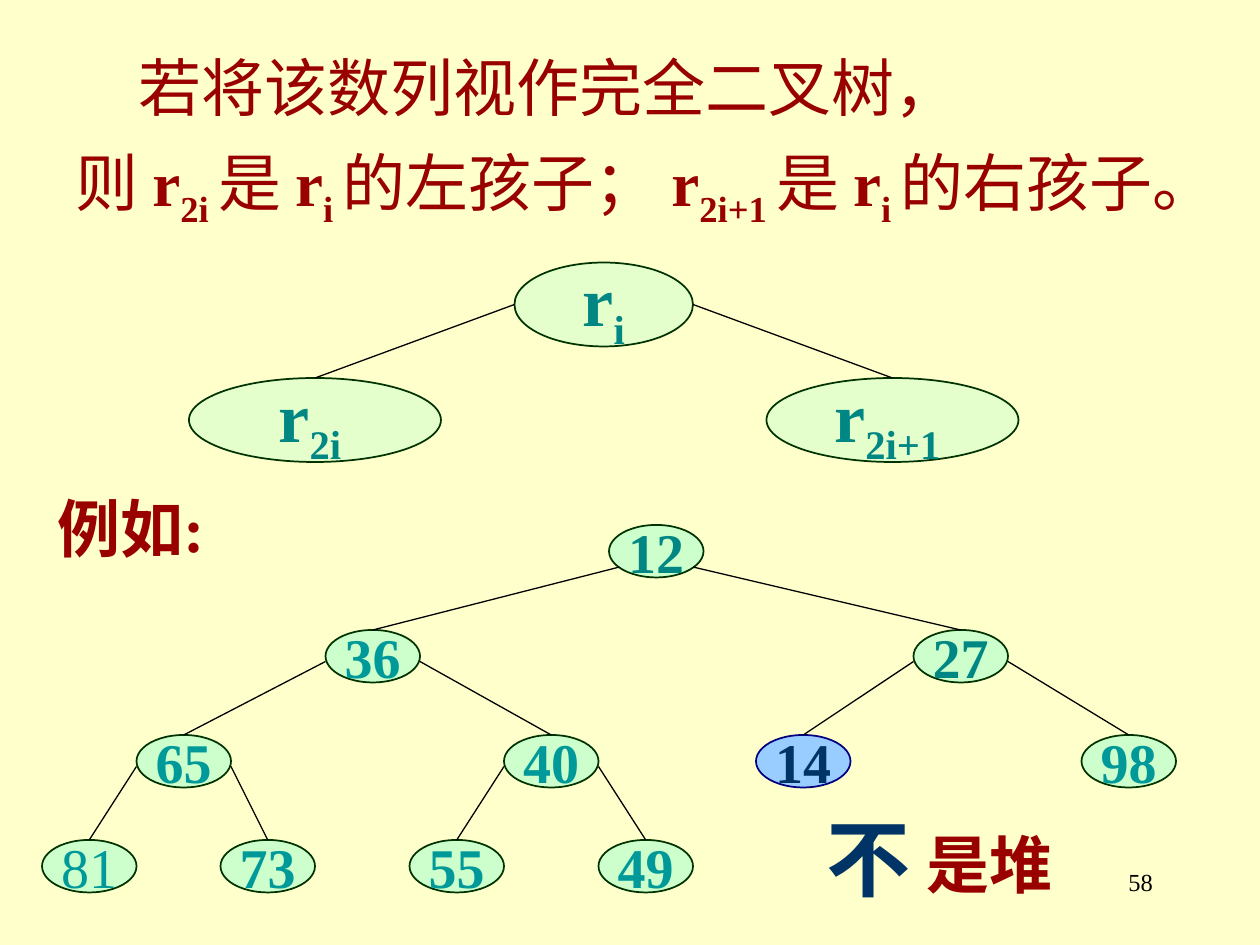
import dataclasses
import lxml.etree
import pptx
import pptx.dml.color
import pptx.enum.shapes
import pptx.enum.text
import pptx.oxml.ns
import pptx.util

COLUMNS, ROWS = 120, 90
CELL = pptx.util.Inches(10) // COLUMNS
ALIGN = pptx.enum.text.PP_ALIGN
ANCHOR = pptx.enum.text.MSO_ANCHOR
FIT = pptx.enum.text.MSO_AUTO_SIZE
qn = pptx.oxml.ns.qn


@dataclasses.dataclass(frozen=True)
class Theme:
    font: str = "Times New Roman"
    background: str = "FFFFCC"
    text: str = "990000"
    ink: str = "000000"
    teal: str = "008784"
    light_teal: str = "009999"
    navy: str = "003366"
    green_fill: str = "CCFFCC"
    green_line: str = "003300"
    blue_fill: str = "99CCFF"
    blue_line: str = "000080"
    page_size: int = 14
    node_size: int = 32
    body_size: int = 36
    formula_size: int = 40
    stress_size: int = 48
    edge_width: float = 0.75
    outline_width: float = 1


def color(value):
    return pptx.dml.color.RGBColor.from_string(value)


def cells(*values):
    return [round(value * CELL) for value in values]


def put_text(frame, paragraphs, *, font, size, ink, bold=False,
             align=ALIGN.LEFT, before=0, indents=()):
    for index, pieces in enumerate(paragraphs):
        para = frame.paragraphs[0] if index == 0 else frame.add_paragraph()
        para.alignment = align
        para.space_before = pptx.util.Pt(before)
        if index < len(indents):
            para._p.get_or_add_pPr().set("indent", str(indents[index] * CELL))
        for piece in pieces:
            words, style = (piece, "") if isinstance(piece, str) else piece
            span = para.add_run()
            span.text = words
            span.font.name = font
            span.font.size = pptx.util.Pt(size)
            span.font.bold = bold or style in ("bold", "sub")
            span.font.color.rgb = color(ink)
            if style == "sub":
                span.font._element.set("baseline", "-25000")


class Page:
    def __init__(self, deck, theme):
        self.theme = theme
        self.slide = deck.slides.add_slide(deck.slide_layouts[6])
        self.slide.background.fill.solid()
        self.slide.background.fill.fore_color.rgb = color(theme.background)

    def text(self, area, paragraphs, *, wrap=False, grow=True, size=None, ink=None, **style):
        frame = self.slide.shapes.add_textbox(*cells(*area)).text_frame
        frame.word_wrap = wrap
        frame.auto_size = FIT.SHAPE_TO_FIT_TEXT if grow else FIT.NONE
        put_text(frame, paragraphs, font=self.theme.font, size=size or self.theme.body_size,
                 ink=ink or self.theme.text, **style)

    def ellipse(self, area, pieces, *, size, ink, bold=True, fill=None, line=None, alpha=None):
        node = self.slide.shapes.add_shape(
            pptx.enum.shapes.MSO_SHAPE.OVAL, *cells(*area))
        node.shadow.inherit = False
        node.fill.solid()
        node.fill.fore_color.rgb = color(fill or self.theme.green_fill)
        if alpha:
            tint = node._element.spPr.find(qn("a:solidFill"))[0]
            lxml.etree.SubElement(tint, qn("a:alpha")).set("val", str(alpha * 1000))
        node.line.color.rgb = color(line or self.theme.green_line)
        node.line.width = pptx.util.Pt(self.theme.outline_width)
        node.text_frame.word_wrap = False
        node.text_frame.vertical_anchor = ANCHOR.MIDDLE
        put_text(node.text_frame, [pieces], font=self.theme.font, size=size,
                 ink=ink, bold=bold, align=ALIGN.CENTER)

    def edge(self, start, end):
        line = self.slide.shapes.add_connector(
            pptx.enum.shapes.MSO_CONNECTOR.STRAIGHT, *cells(*start, *end))
        line.line.color.rgb = color(self.theme.ink)
        line.line.width = pptx.util.Pt(self.theme.edge_width)
        lxml.etree.SubElement(line._element.spPr, qn("a:effectLst"))


def draw_formula_tree(page):
    theme = page.theme
    left, top, width, height = 49, 25, 17, 8
    child_top, child_width = 36, 24
    formulas = [((left, top, width, height), "i"),
                ((18, child_top, child_width, height), "2i "),
                ((73, child_top, child_width, height), "2i+1 ")]
    for area, index in formulas:
        page.ellipse(area, ["r", (index, "sub")], size=theme.formula_size,
                     ink=theme.teal, alpha=50)
    for side, (area, _) in zip((left, left + width), formulas[1:]):
        page.edge((side, top + height / 2), (area[0] + child_width / 2, child_top))


def draw_number_tree(page):
    theme = page.theme
    width, height, first_row, row_step = 9, 5, 50, 10
    levels = [[(12, 58)],
              [(36, 31), (27, 87)],
              [(65, 13), (40, 48), (14, 72), (98, 103)],
              [(81, 4), (73, 21), (55, 39), (49, 57)]]
    special = {12: dict(ink=theme.teal), 27: dict(ink=theme.teal),
               81: dict(bold=False),
               14: dict(ink=theme.navy, fill=theme.blue_fill, line=theme.blue_line)}
    for depth, level in enumerate(levels):
        top = first_row + depth * row_step
        for place, (number, left) in enumerate(level):
            style = {"ink": theme.light_teal, **special.get(number, {})}
            page.ellipse((left, top, width, height), [str(number)],
                         size=theme.node_size, **style)
            if depth:
                parent = levels[depth - 1][place // 2][1]
                inset, drop = (1, 4) if depth == 1 else (0, 3)
                side = parent + (width - inset if place % 2 else inset)
                page.edge((side, top - row_step + drop), (left + width / 2, top))


def main():
    deck = pptx.Presentation()
    deck.slide_width, deck.slide_height = cells(COLUMNS, ROWS)
    theme = Theme()
    page = Page(deck, theme)
    r, sub_i = ("r", "bold"), ("i ", "sub")
    page.text((86, 82, 25, 6), [["58"]], wrap=True, grow=False,
              size=theme.page_size, ink=theme.ink, align=ALIGN.RIGHT)
    draw_formula_tree(page)
    page.text((6, 4, 110, 25.7), [
        ["若将该数列视作完全二叉树，"],
        ["则 ", r, ("2i ", "sub"), "是 ", r, sub_i, "的左孩子； ",
         r, ("2i+1 ", "sub"), "是 ", r, sub_i, "的右孩子。"],
    ], wrap=True, before=11.2, indents=(6,))
    draw_number_tree(page)
    page.text((4.3, 46, 17.8, 8.4), [["例如:"]], bold=True)
    page.text((87.1, 78, 14.4, 8.4), [["是堆"]], bold=True)
    page.text((77.5, 76.2, 10.3, 10.8), [["不"]], bold=True,
              size=theme.stress_size, ink=theme.navy)
    deck.save("out.pptx")


main()
